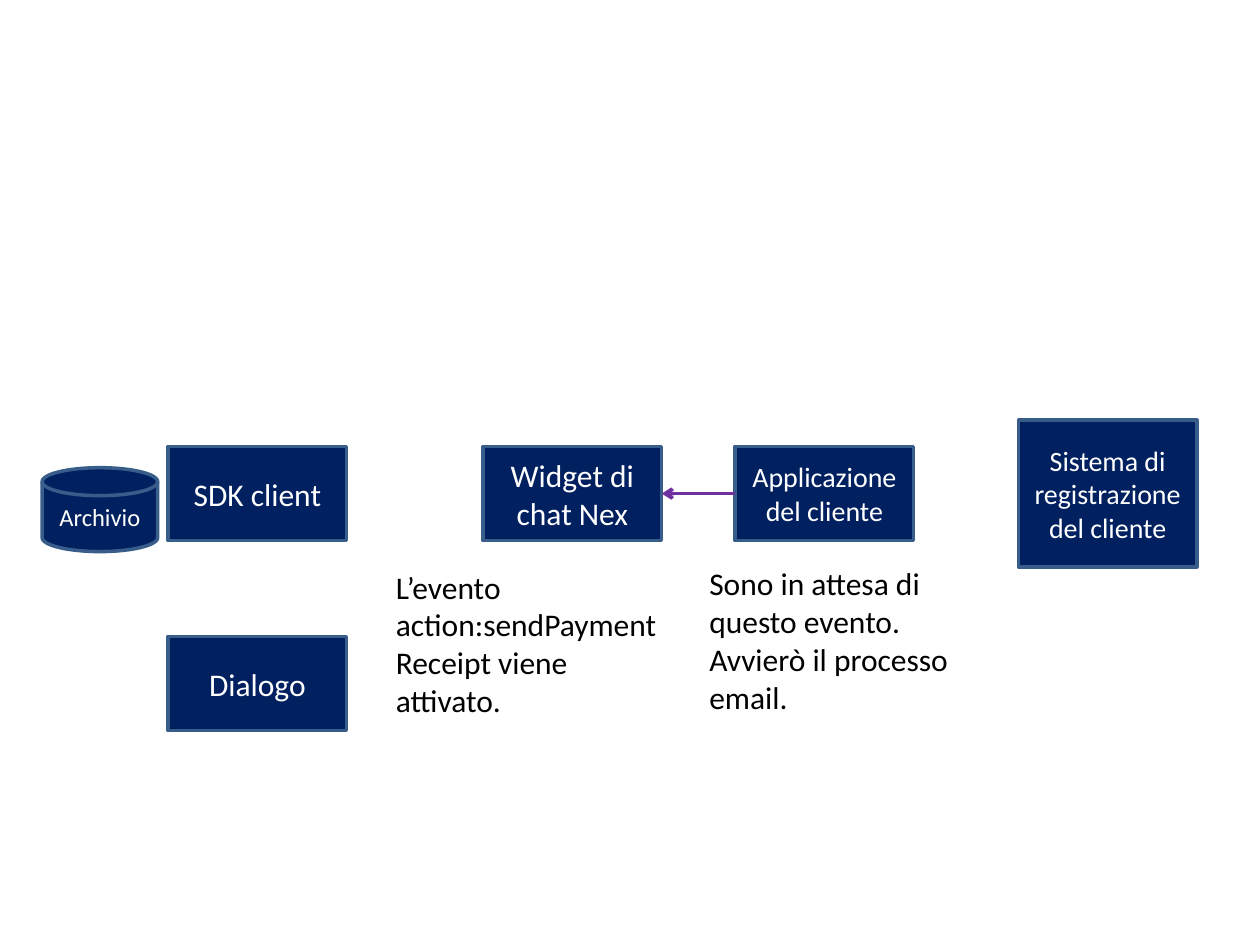
from pptx import Presentation
from pptx import util as u
from pptx.dml.color import RGBColor
from pptx.enum import shapes, text
from pptx.oxml.ns import qn
from lxml import etree

NAVY = RGBColor(0x00, 0x20, 0x60)
EDGE = RGBColor(0x38, 0x5D, 0x8A)
PURPLE = RGBColor(0x70, 0x30, 0xA0)
WHITE = RGBColor(0xFF, 0xFF, 0xFF)
BLACK = RGBColor(0x00, 0x00, 0x00)

KIND = shapes.MSO_SHAPE
ROW = 9.0               # top of the main row, cm
WIDE, HIGH = 3.6, 1.9   # common box size, cm


def write(frame, words, size=18, color=BLACK, align=text.PP_ALIGN.LEFT,
          anchor=text.MSO_ANCHOR.TOP):
    frame.word_wrap = True
    frame.vertical_anchor = anchor
    par = frame.paragraphs[0]
    par.alignment = align
    run = par.add_run()
    run.text = words
    run.font.name = "Calibri"
    run.font.size = u.Pt(size)
    run.font.color.rgb = color


def add_box(slide, words, left, top, wide=WIDE, high=HIGH, size=18,
            kind=KIND.RECTANGLE):
    box = slide.shapes.add_shape(kind, u.Cm(left), u.Cm(top), u.Cm(wide), u.Cm(high))
    box.shadow.inherit = False
    box.fill.solid()
    box.fill.fore_color.rgb = NAVY
    box.line.color.rgb = EDGE
    box.line.width = u.Pt(2)
    write(box.text_frame, words, size=size, color=WHITE,
          align=text.PP_ALIGN.CENTER, anchor=text.MSO_ANCHOR.MIDDLE)
    return box


def add_note(slide, words, left, top, wide, high=3.3):
    note = slide.shapes.add_textbox(u.Cm(left), u.Cm(top), u.Cm(wide), u.Cm(high))
    write(note.text_frame, words)


def add_arrow(slide, start, end):
    """Arrow from the left side of start to the right side of end."""
    arrow = slide.shapes.add_connector(shapes.MSO_CONNECTOR.STRAIGHT, 0, 0, 0, 0)
    arrow.begin_connect(start, 1)
    arrow.end_connect(end, 3)
    arrow.line.color.rgb = PURPLE
    arrow.line.width = u.Pt(2)
    etree.SubElement(arrow.line._get_or_add_ln(), qn("a:tailEnd"), type="arrow")
    etree.SubElement(arrow._element.spPr, qn("a:effectLst"))


def main():
    deck = Presentation()
    deck.slide_width, deck.slide_height = u.Cm(25.4), u.Cm(19.05)
    slide = deck.slides.add_slide(deck.slide_layouts[6])

    # Client side: storage, SDK and dialog
    add_box(slide, "Archivio", 0.85, 9.43, wide=2.33, high=1.69, size=14,
            kind=KIND.FLOWCHART_MAGNETIC_DISK)
    add_box(slide, "SDK client", 3.39, ROW)
    add_box(slide, "Dialogo", 3.39, 12.83)

    # Chat widget, customer application and system of record
    widget = add_box(slide, "Widget di chat Nex", 9.74, ROW)
    app = add_box(slide, "Applicazione del cliente", 14.82, ROW, size=16)
    add_box(slide, "Sistema di registrazione del cliente", 20.53, 8.47,
            high=2.96, size=16)
    add_arrow(slide, app, widget)

    # What happens at this step
    add_note(slide, "L’evento action:sendPaymentReceipt viene attivato.",
             7.73, 11.32, 6.05)
    add_note(slide, "Sono in attesa di questo evento. Avvierò il processo email.",
             14.05, 11.25, 6.35)

    deck.save("out.pptx")


if __name__ == "__main__":
    main()
